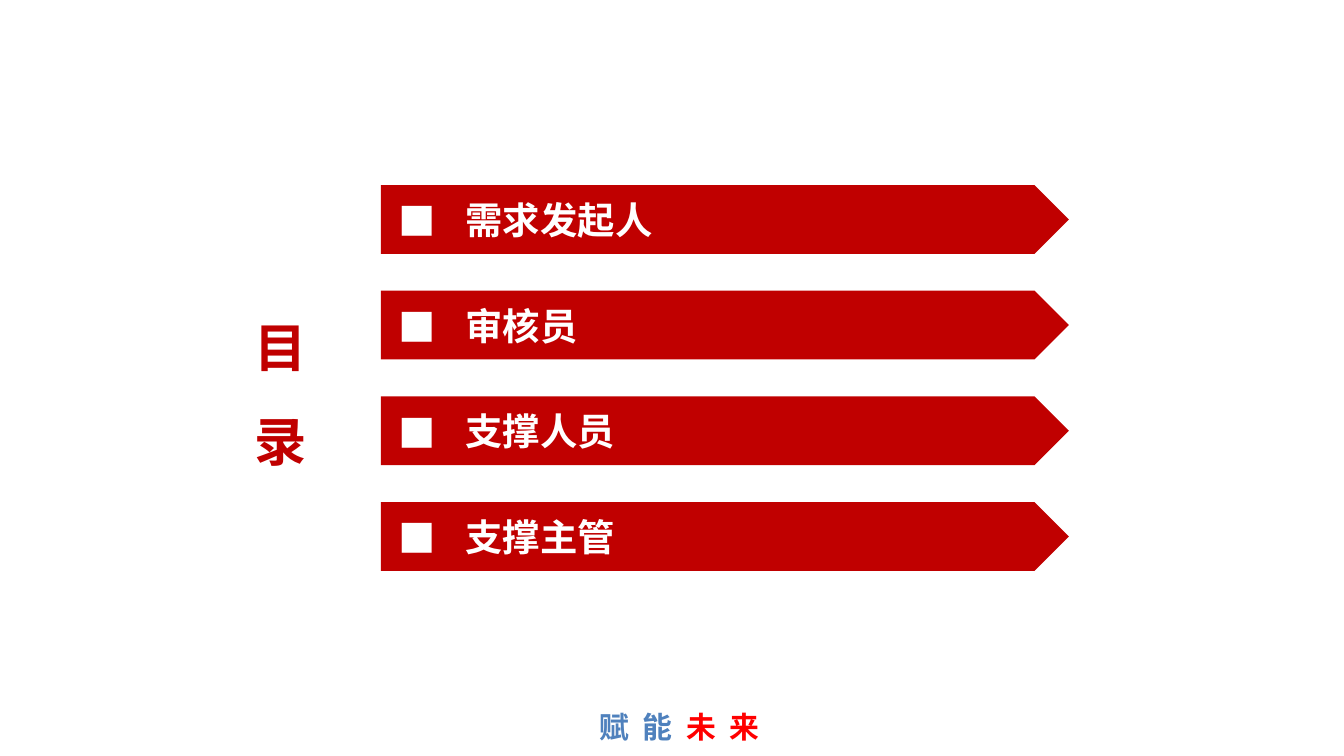
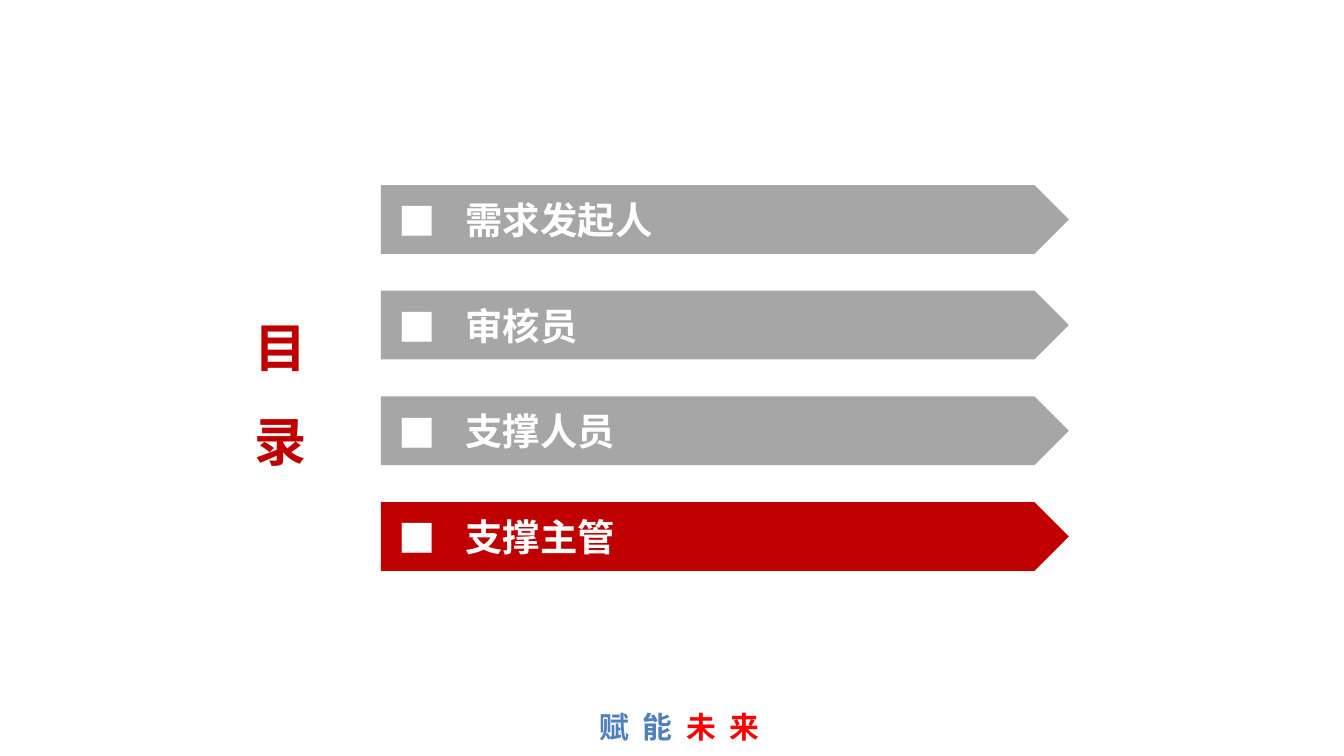
"""Build two agenda slides: the full list, then the list with its last entry highlighted."""
from lxml.etree import SubElement
from pptx import Presentation
from pptx.dml.color import RGBColor
from pptx.enum.shapes import MSO_SHAPE as Shape
from pptx.enum.text import MSO_ANCHOR as Anchor, PP_ALIGN as Align
from pptx.oxml.ns import qn
from pptx.util import Pt

FONT = "Noto Sans CJK SC"
COLORS = {"red": "C00000", "gray": "A6A6A6", "white": "FFFFFF",
          "blue": "4F81BD", "bright": "FF0000"}
ENTRIES = ["需求发起人", "审核员", "支撑人员", "支撑主管"]
BAR_COLORS = [["red"] * 4, ["gray"] * 3 + ["red"]]
BAR_TOP, BAR_STEP = 99.2, 56.6
FOOTER_PARTS = [("赋能", "blue"), ("未来", "bright")]
FOOTER_TRACKING = 7.3


def add_span(para, text, size, color):
    span = para.add_run()
    span.text = text
    for name, value in {"name": FONT, "size": Pt(size), "bold": True}.items():
        setattr(span.font, name, value)
    span.font.color.rgb = RGBColor.from_string(COLORS[color])
    properties = span.font._element
    SubElement(properties, qn("a:ea")).set("typeface", FONT)
    return properties


def add_box(page, kind, bounds, fill, align, margins):
    lengths = [Pt(value) for value in bounds]
    if kind is None:
        box = page.shapes.add_textbox(*lengths)
    else:
        box = page.shapes.add_shape(kind, *lengths)
        box.shadow.inherit = False
        box.fill.solid()
        box.fill.fore_color.rgb = RGBColor.from_string(COLORS[fill])
        box.line.fill.background()
    frame = box.text_frame
    settings = {"word_wrap": True, "vertical_anchor": Anchor.MIDDLE}
    for side, margin in zip(("left", "top", "right", "bottom"), margins):
        settings[f"margin_{side}"] = Pt(margin)
    for name, value in settings.items():
        setattr(frame, name, value)
    para = frame.paragraphs[0]
    para.alignment = align
    return para


deck = Presentation()
deck.slide_width, deck.slide_height = Pt(720), Pt(405)

for bar_colors in BAR_COLORS:
    page = deck.slides.add_slide(deck.slide_layouts[6])

    para = add_box(page, Shape.RECTANGLE, (281.5, 375.8, 157.7, 26.6), "white",
                   Align.CENTER, (7.2 + FOOTER_TRACKING, 3.6, 7.2, 3.6))
    for text, color in FOOTER_PARTS:
        add_span(para, text, 16, color).set("spc", str(round(FOOTER_TRACKING * 100)))

    for row, (entry, color) in enumerate(zip(ENTRIES, bar_colors)):
        bounds = (204, BAR_TOP + row * BAR_STEP, 368.6, 36.8)
        para = add_box(page, Shape.PENTAGON, bounds, color, Align.LEFT, (9.4, 5, 9.4, 5))
        add_span(para, entry, 20, "white")
        layout = para._p.get_or_add_pPr()
        layout.set("marL", str(Pt(36)))
        layout.set("indent", str(-Pt(36)))
        SubElement(layout, qn("a:buFont")).set("typeface", FONT)
        SubElement(layout, qn("a:buChar")).set("char", "■")

    para = add_box(page, None, (127.4, 151.2, 45.4, 103), None,
                   Align.CENTER, (7.2, 3.6, 7.2, 3.6))
    para.line_spacing = 1.5
    add_span(para, "目录", 28, "red")

deck.save("out.pptx")
